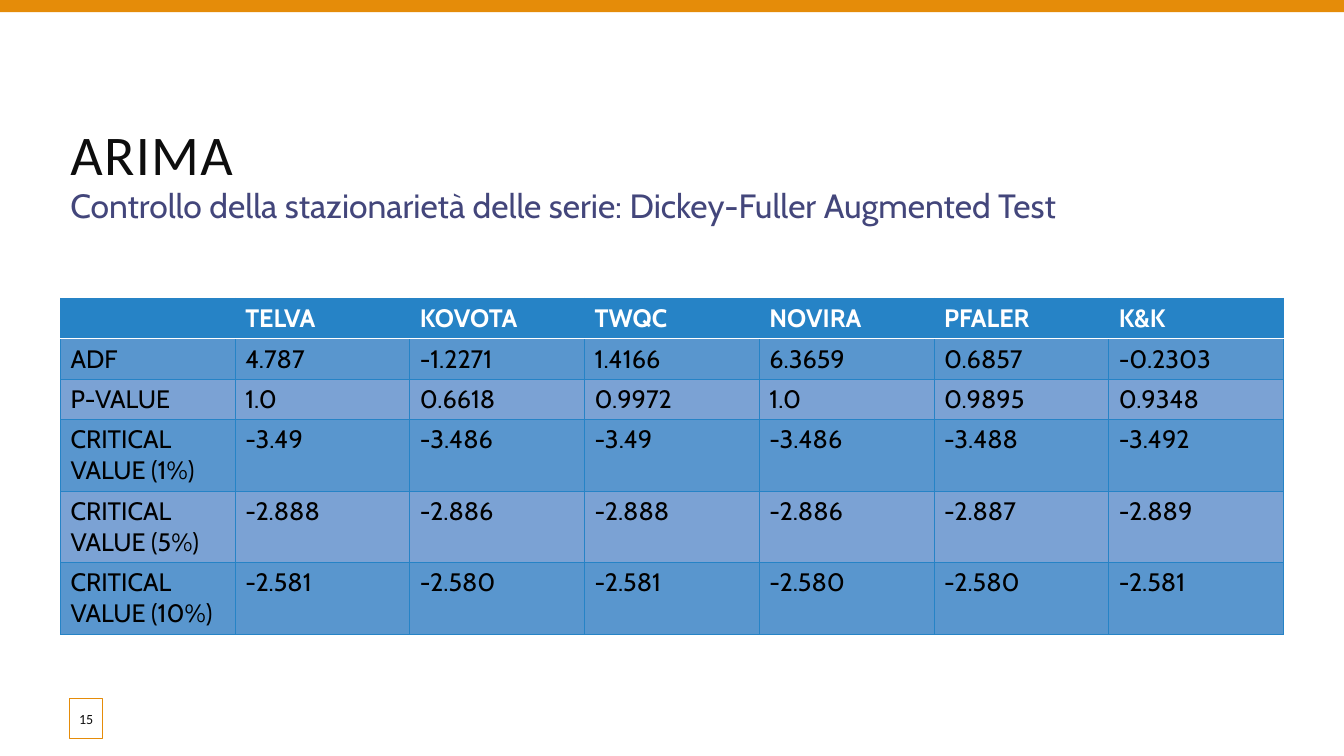
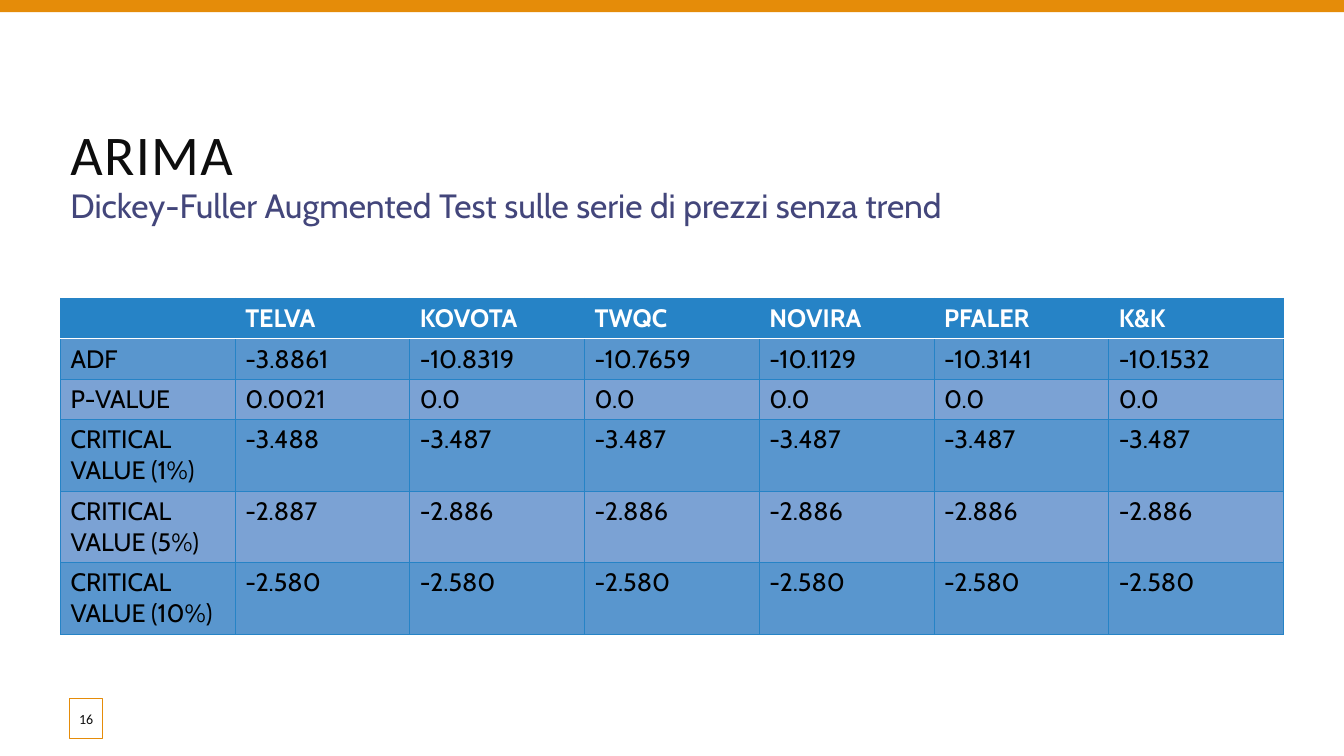
from lxml.etree import SubElement
from pptx import Presentation
from pptx.dml.color import RGBColor
from pptx.enum.shapes import MSO_SHAPE as Shape
from pptx.enum.text import MSO_ANCHOR as Anchor, PP_ALIGN as Align
from pptx.oxml.ns import qn
from pptx.util import Inches, Pt

COLORS = {
    "accent": "E58C09",
    "title": "0D0D0D",
    "subtitle": "43467B",
    "header": "2683C6",
    "band_dark": "5996CE",
    "band_light": "7BA2D4",
    "black": "000000",
    "white": "FFFFFF",
}
HEADING_FONT = "Calibri"
BODY_FONT = "Cabin"

COMPANIES = ["TELVA", "KOVOTA", "TWQC", "NOVIRA", "PFALER", "K&K"]
MEASURES = ["ADF", "P-VALUE", "CRITICAL VALUE (1%)",
            "CRITICAL VALUE (5%)", "CRITICAL VALUE (10%)"]

# Page number, subtitle and one line of values per measure
PAGES = [
    (15, "Controllo della stazionarietà delle serie: Dickey-Fuller Augmented Test", [
        ["4.787", "-1.2271", "1.4166", "6.3659", "0.6857", "-0.2303"],
        ["1.0", "0.6618", "0.9972", "1.0", "0.9895", "0.9348"],
        ["-3.49", "-3.486", "-3.49", "-3.486", "-3.488", "-3.492"],
        ["-2.888", "-2.886", "-2.888", "-2.886", "-2.887", "-2.889"],
        ["-2.581", "-2.580", "-2.581", "-2.580", "-2.580", "-2.581"],
    ]),
    (16, "Dickey-Fuller Augmented Test sulle serie di prezzi senza trend", [
        ["-3.8861", "-10.8319", "-10.7659", "-10.1129", "-10.3141", "-10.1532"],
        ["0.0021"] + ["0.0"] * 5,
        ["-3.488"] + ["-3.487"] * 5,
        ["-2.887"] + ["-2.886"] * 5,
        ["-2.580"] * 6,
    ]),
]


def color(name):
    return RGBColor.from_string(COLORS[name])


class SlideBuilder:
    """Holds the deck's style and the slide being filled."""

    def __init__(self, deck):
        self.deck = deck
        self.slide = None

    def new_slide(self):
        self.slide = self.deck.slides.add_slide(self.deck.slide_layouts[6])
        self.rectangle(0, 0, 13.33, 0.12, "accent")

    def format_text(self, frame, font, size, ink, bold=False):
        for para in frame.paragraphs:
            for span in para.runs:
                span.font.name = font
                span.font.size = Pt(size)
                span.font.bold = bold
                span.font.color.rgb = color(ink)

    def rectangle(self, left, top, width, height, fill, line=None):
        box = self.slide.shapes.add_shape(
            Shape.RECTANGLE, Inches(left), Inches(top), Inches(width), Inches(height))
        box.shadow.inherit = False
        box.fill.solid()
        box.fill.fore_color.rgb = color(fill)
        if line:
            box.line.color.rgb = color(line)
            box.line.width = Pt(0.75)
        else:
            box.line.fill.background()
        return box

    def text(self, left, top, width, height, words, font, size, ink):
        box = self.slide.shapes.add_textbox(
            Inches(left), Inches(top), Inches(width), Inches(height))
        frame = box.text_frame
        frame.word_wrap = True
        frame.text = words
        self.format_text(frame, font, size, ink)
        return frame

    def title(self, words):
        frame = self.text(0.6, 1.08, 11.82, 0.77, words, HEADING_FONT, 40, "title")
        frame.vertical_anchor = Anchor.BOTTOM
        frame.margin_bottom = 0
        # Letter spacing of one point
        frame.paragraphs[0].runs[0].font._element.set("spc", "100")

    def subtitle(self, words):
        frame = self.text(0.6, 1.83, 11.85, 0.46, words, BODY_FONT, 24, "subtitle")
        frame.paragraphs[0].line_spacing = 0.9

    def page_number(self, number):
        box = self.rectangle(0.69, 6.93, 0.33, 0.4, "white", "accent")
        frame = box.text_frame
        frame.margin_left = frame.margin_right = 0
        frame.vertical_anchor = Anchor.MIDDLE
        frame.text = str(number)
        frame.paragraphs[0].alignment = Align.CENTER
        self.format_text(frame, HEADING_FONT, 10, "title")

    def cell_borders(self, cell, white_side):
        properties = cell._tc.get_or_add_tcPr()
        for side in ("lnL", "lnR", "lnT", "lnB"):
            ink, width = ("white", 1.25) if side == white_side else ("header", 0.75)
            line = SubElement(properties, qn("a:" + side), w=str(Pt(width)))
            fill = SubElement(line, qn("a:solidFill"))
            SubElement(fill, qn("a:srgbClr"), val=COLORS[ink])

    def table(self, rows):
        frame = self.slide.shapes.add_table(
            len(rows), len(rows[0]), Inches(0.6), Inches(2.96), Inches(12.13), Inches(3.32))
        table = frame.table
        for column in table.columns:
            column.width = Inches(12.13 / len(rows[0]))
        for row_index, values in enumerate(rows):
            header = row_index == 0
            # Labels of the critical values take two lines
            table.rows[row_index].height = Inches(0.71 if row_index > 2 else 0.4)
            band = "header" if header else "band_dark" if row_index % 2 else "band_light"
            white_side = {0: "lnB", 1: "lnT"}.get(row_index)
            for column_index, value in enumerate(values):
                cell = table.cell(row_index, column_index)
                cell.text_frame.text = value
                self.format_text(cell.text_frame, BODY_FONT, 18,
                                 "white" if header else "black", header)
                self.cell_borders(cell, white_side)
                cell.fill.solid()
                cell.fill.fore_color.rgb = color(band)


def main():
    deck = Presentation()
    deck.slide_width, deck.slide_height = Inches(13.33), Inches(7.5)
    builder = SlideBuilder(deck)
    for number, subtitle, values in PAGES:
        builder.new_slide()
        builder.title("ARIMA")
        builder.table([[""] + COMPANIES]
                      + [[measure] + line for measure, line in zip(MEASURES, values)])
        builder.subtitle(subtitle)
        builder.page_number(number)
    deck.save("out.pptx")


if __name__ == "__main__":
    main()
